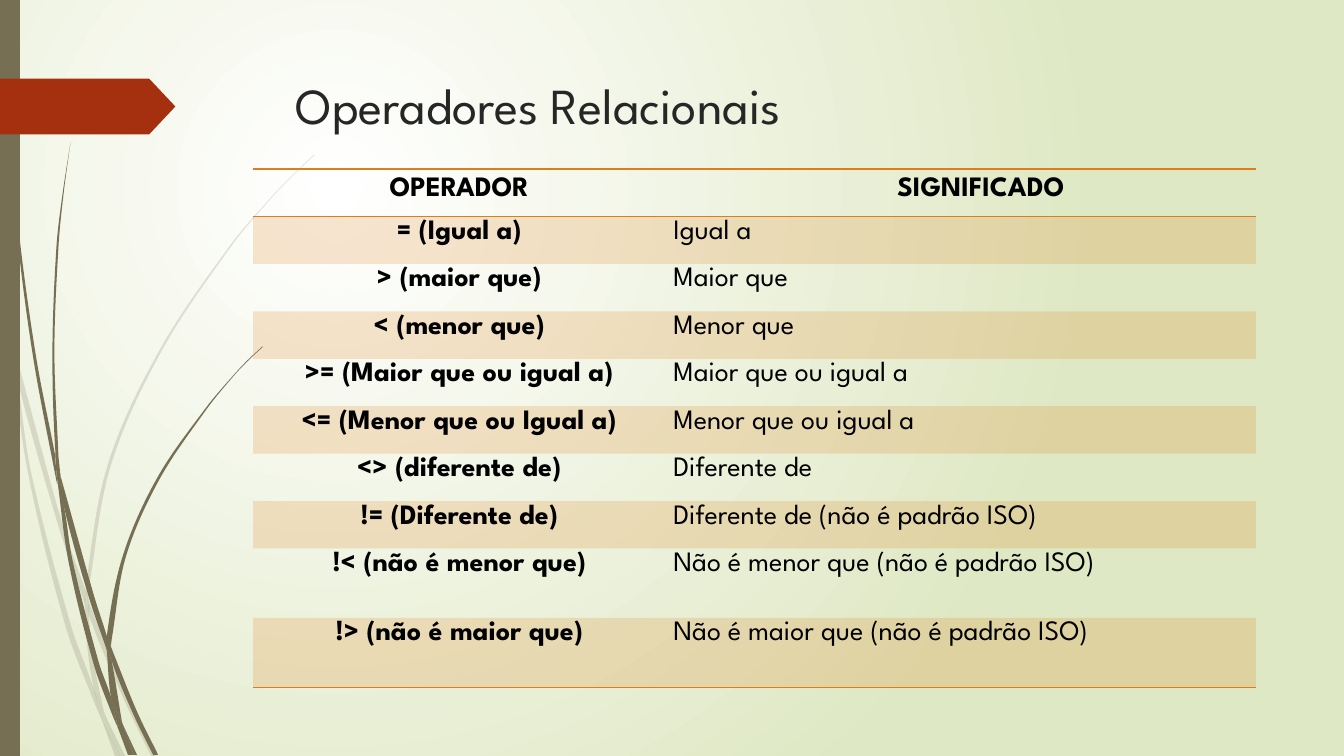
import math
import pptx
import pptx.util
import pptx.oxml
import pptx.oxml.ns
import pptx.dml.color
import pptx.enum.shapes
import pptx.enum.text

Cm = pptx.util.Cm
Pt = pptx.util.Pt
RGBColor = pptx.dml.color.RGBColor
ALIGN = pptx.enum.text.PP_ALIGN
ANCHOR = pptx.enum.text.MSO_ANCHOR
SHAPE = pptx.enum.shapes.MSO_SHAPE
qn = pptx.oxml.ns.qn
NAMESPACE = pptx.oxml.ns.nsdecls("a")

WHITE = RGBColor(0xFF, 0xFF, 0xFF)
PALE_GREEN = RGBColor(0xDF, 0xE8, 0xC4)
OLIVE = RGBColor(0x76, 0x6F, 0x54)
RUST = RGBColor(0xA5, 0x30, 0x10)
ORANGE = RGBColor(0xDE, 0x7E, 0x18)
CHARCOAL = RGBColor(0x26, 0x26, 0x26)
BLACK = RGBColor(0, 0, 0)

FONT = "League Spartan"
BLADE_UNIT = Cm(2.54)
NO_STYLE = "{2D5ABB26-0587-4C30-8999-92F81FD0307C}"

PALE_BLADES = [
    ("0.11,3.5 0.09,3.22 0,2.82", "0,2.99 0.1,3.44 0.11,3.5"),
    ("0.14,3.45 0.17,3.76 0.58,5.22 0.84,5.99", "0.85,5.86 0.62,5.2 0.14,3.45"),
    ("0.88,5.96 0.88,6.1 1.23,6.94 1.5,7.5", "1.55,7.5 1.27,6.92 0.92,6.07 0.88,5.96"),
    ("1.05,7.11 1.19,7.5", "1.24,7.5 1.05,7.11"),
    ("0.11,3.5 0.28,4.7 0.65,6.21 0.92,6.93 1.01,7.14",
     "0.99,7.07 0.93,6.83 0.7,6.19 0.31,4.69 0.17,3.76 0.11,3.5"),
    ("0.84,5.99 0.87,6.46 0.93,6.83 0.96,6.92 1.05,7.11", "1.03,7.06 0.91,6.46 0.88,6.1 0.84,5.99"),
    ("3.12,1.53 2.89,1.75 2.68,1.97 2.28,2.44 1.58,3.48 1.07,4.61 0.85,5.84 0.88,5.96",
     "0.88,5.84 1.1,4.62 1.6,3.49 2.29,2.45 2.68,1.98 2.9,1.75 3.12,1.54"),
    ("1.01,7.14 1.14,7.5", "1.19,7.5 1.01,7.14"),
    ("0.85,5.86 0.84,5.99 0.88,6.08 0.88,6.1", "0.88,5.96 0.85,5.86"),
    ("0.93,6.83 0.99,7.07 1.01,7.14 1.19,7.5", "1.05,7.11 0.96,6.92 0.93,6.83"),
]
DARK_BLADES = [
    ("0.03,0 0.04,0.48 0.07,1.1 0.17,2.33 0.33,3.55 0.56,4.77 0.57,4.81",
     "0.55,4.57 0.55,4.53 0.36,3.55 0.19,2.32 0.08,1.09 0.05,0.48 0.04,0"),
    ("0.6,4.72 0.64,5.05 0.88,5.92 1.06,6.45", "1.06,6.33 1.06,6.31 0.93,5.9 0.6,4.72"),
    ("1.1,6.41 1.11,6.56 1.32,7.08 1.52,7.49", "1.57,7.49 1.36,7.06 1.13,6.49 1.1,6.41"),
    ("0.57,4.77 0.68,5.57 0.93,6.59 1.11,7.08 1.17,7.22",
     "1.16,7.17 1.1,6.91 0.98,6.57 0.72,5.56 0.64,5.05 0.57,4.77"),
    ("0.7,1.41 0.62,1.93 0.56,2.45 0.52,3.49 0.55,4.49 0.6,4.72",
     "0.58,4.53 0.54,3.49 0.58,2.45 0.63,1.93 0.7,1.41"),
    ("1.22,7.19 1.33,7.49", "1.36,7.49 1.22,7.19"),
    ("0.55,4.49 0.55,4.53 0.57,4.77 0.64,5.05", "0.6,4.72 0.55,4.49"),
    ("2.6,3.44 2.45,3.58 2.31,3.73 2.04,4.05 1.56,4.74 1.22,5.51 1.06,6.31 1.1,6.41",
     "1.11,6.33 1.25,5.52 1.58,4.76 2.05,4.06 2.31,3.74 2.45,3.59 2.61,3.44"),
    ("1.17,7.22 1.27,7.49", "1.31,7.49 1.17,7.22"),
    ("1.06,6.45 1.1,6.91 1.16,7.06 1.22,7.19", "1.21,7.16 1.11,6.56 1.09,6.51 1.06,6.45"),
    ("1.06,6.31 1.06,6.45 1.09,6.51 1.11,6.56", "1.1,6.41 1.06,6.31"),
    ("1.1,6.91 1.16,7.17 1.17,7.22 1.3,7.49", "1.33,7.49 1.22,7.19 1.16,7.06 1.1,6.91"),
]
ROWS = [
    ("OPERADOR", "SIGNIFICADO"),
    ("= (Igual a)", "Igual a"),
    ("> (maior que)", "Maior que"),
    ("< (menor que)", "Menor que"),
    (">= (Maior que ou igual a)", "Maior que ou igual a"),
    ("<= (Menor que ou Igual a)", "Menor que ou igual a"),
    ("<> (diferente de)", "Diferente de"),
    ("!= (Diferente de)", "Diferente de (não é padrão ISO)"),
    ("!< (não é menor que)", "Não é menor que (não é padrão ISO)"),
    ("!> (não é maior que)", "Não é maior que (não é padrão ISO)"),
]


def set_opacity(fill_parent, percent):
    """Make the solid fill directly under an element translucent."""
    color = fill_parent.find(qn("a:solidFill"))[0]
    color.append(pptx.oxml.parse_xml(f'<a:alpha {NAMESPACE} val="{percent * 1000}"/>'))


def paint(shape, color):
    """Give a shape a plain fill with no outline or shadow."""
    shape.shadow.inherit = False
    shape.fill.solid()
    shape.fill.fore_color.rgb = color
    shape.line.fill.background()


def write(para, text, size, color, bold=False):
    """Add one formatted run to a paragraph."""
    span = para.add_run()
    span.text = text
    span.font.name, span.font.size, span.font.bold = FONT, Pt(size), bold
    span.font.color.rgb = color


def draw_background(page):
    """Fill the page with a round gradient."""
    page.background.fill.gradient()
    old = page.element.find(".//" + qn("a:gradFill"))
    old.getparent().replace(old, pptx.oxml.parse_xml(
        f'<a:gradFill {NAMESPACE} rotWithShape="1"><a:gsLst>'
        f'<a:gs pos="0"><a:srgbClr val="{WHITE}"/></a:gs>'
        f'<a:gs pos="100000"><a:srgbClr val="{PALE_GREEN}"/></a:gs></a:gsLst>'
        '<a:path path="circle"><a:fillToRect l="50000" t="50000" r="100000" b="100000"/>'
        '</a:path></a:gradFill>'))


def curve_edge(text):
    """Return an edge's first point, then two handles and an end per curve."""
    anchors = [tuple(map(float, pair.split(","))) for pair in text.split()]
    padded = [anchors[0], *anchors, anchors[-1]]
    points = [anchors[0]]
    for before, start, end, after in zip(padded, padded[1:], padded[2:], padded[3:]):
        reach = math.dist(start, end) / 3
        lead, trail = reach / math.dist(before, end), reach / math.dist(start, after)
        points.append(tuple(s + (e - b) * lead for b, s, e in zip(before, start, end)))
        points.append(tuple(e - (a - s) * trail for s, e, a in zip(start, end, after)))
        points.append(end)
    return points


def draw_blades(page, left, top, blades, opacity):
    """Draw curved grass blades from a top left corner."""
    for near_text, far_text in blades:
        near, far = curve_edge(near_text), curve_edge(far_text)
        outline = near + [near[-1], far[0]] + far
        points = [(left + x * BLADE_UNIT, top + y * BLADE_UNIT) for x, y in outline]
        builder = page.shapes.build_freeform(*points[0])
        builder.add_line_segments(points[1:], close=True)
        blade = builder.convert_to_shape()
        lines = list(blade.element.iter(qn("a:lnTo")))
        for first, second, third in zip(lines[::3], lines[1::3], lines[2::3]):
            curve = pptx.oxml.parse_xml(f"<a:cubicBezTo {NAMESPACE}/>")
            first.addprevious(curve)
            for line in (first, second, third):
                curve.append(line[0])
                line.getparent().remove(line)
        paint(blade, OLIVE)
        if opacity < 100:
            set_opacity(blade.element.spPr, opacity)


def draw_side_decoration(page, left, top, height):
    """Draw the grass, the side bar and the arrow tag."""
    draw_blades(page, left, top, PALE_BLADES, 20)
    draw_blades(page, left, top, DARK_BLADES, 100)
    paint(page.shapes.add_shape(SHAPE.RECTANGLE, left, top, Cm(0.5), height), OLIVE)
    tag = page.shapes.add_shape(SHAPE.PENTAGON, left, top + Cm(1.98), Cm(4.42), Cm(1.41))
    tag.adjustments[0] = 0.47
    paint(tag, RUST)


def draw_title(page, left, top, width, height):
    """Place and write the page title."""
    title = page.shapes.title
    title.left, title.top, title.width, title.height = left, top, width, height
    title.text_frame.auto_size = pptx.enum.text.MSO_AUTO_SIZE.NONE
    title.text_frame.vertical_anchor = ANCHOR.TOP
    para = title.text_frame.paragraphs[0]
    para.alignment = ALIGN.LEFT
    write(para, "Operadores Relacionais", 36, CHARCOAL)


def add_borders(cell, visible):
    """Set all four cell sides, with orange lines on the visible ones."""
    for position, side in enumerate("LRTB"):
        paint_xml = (f'<a:solidFill><a:srgbClr val="{ORANGE}"/></a:solidFill><a:prstDash val="solid"/>'
                     if side in visible else "<a:noFill/>")
        cell._tc.get_or_add_tcPr().insert(position, pptx.oxml.parse_xml(
            f'<a:ln{side} {NAMESPACE} w="12700" cmpd="sng">{paint_xml}</a:ln{side}>'))


def format_cell(cell, text, row, column):
    """Write one table cell and style it by its place."""
    header = row == 0
    cell.margin_left = cell.margin_right = Cm(0.2)
    cell.margin_top = cell.margin_bottom = Cm(0.26)
    cell.vertical_anchor = ANCHOR.MIDDLE if header else ANCHOR.TOP
    para = cell.text_frame.paragraphs[0]
    para.alignment = ALIGN.CENTER if header or column == 0 else ALIGN.JUSTIFY
    para.line_spacing, para.space_after = Pt(13.5), Pt(10)
    if header and column == 1:
        para._p.get_or_add_pPr().set("marL", str(Cm(1.02)))
    write(para, text, 20, BLACK, bold=header or column == 0)
    cell.fill.background()
    if row % 2:
        cell.fill.solid()
        cell.fill.fore_color.rgb = ORANGE
        set_opacity(cell._tc.tcPr, 20)
    add_borders(cell, {0: "TB", 1: "T", len(ROWS) - 1: "B"}.get(row, ""))


def draw_operator_table(page, left, top, width, height):
    """Draw the operators, with the last two rows taller."""
    table = page.shapes.add_table(len(ROWS), 2, left, top, width, height).table
    table._tbl.tblPr.find(qn("a:tableStyleId")).text = NO_STYLE
    table.first_row = table.horz_banding = False
    table.columns[0].width, table.columns[1].width = Cm(10.39), width - Cm(10.39)
    tall = Cm(1.75)
    short = (height - 2 * tall) // (len(ROWS) - 2)
    for row, texts in enumerate(ROWS):
        table.rows[row].height = tall if row >= len(ROWS) - 2 else short
        for column, text in enumerate(texts):
            format_cell(table.cell(row, column), text, row, column)


deck = pptx.Presentation()
deck.slide_width, deck.slide_height = Cm(33.87), Cm(19.05)
slide = deck.slides.add_slide(deck.slide_layouts[5])
draw_background(slide)
draw_side_decoration(slide, 0, 0, deck.slide_height)
draw_title(slide, Cm(7.2), Cm(1.73), Cm(24.77), Cm(3.56))
draw_operator_table(slide, Cm(6.38), Cm(4.26), Cm(25.27), Cm(13.06))
deck.save("out.pptx")
